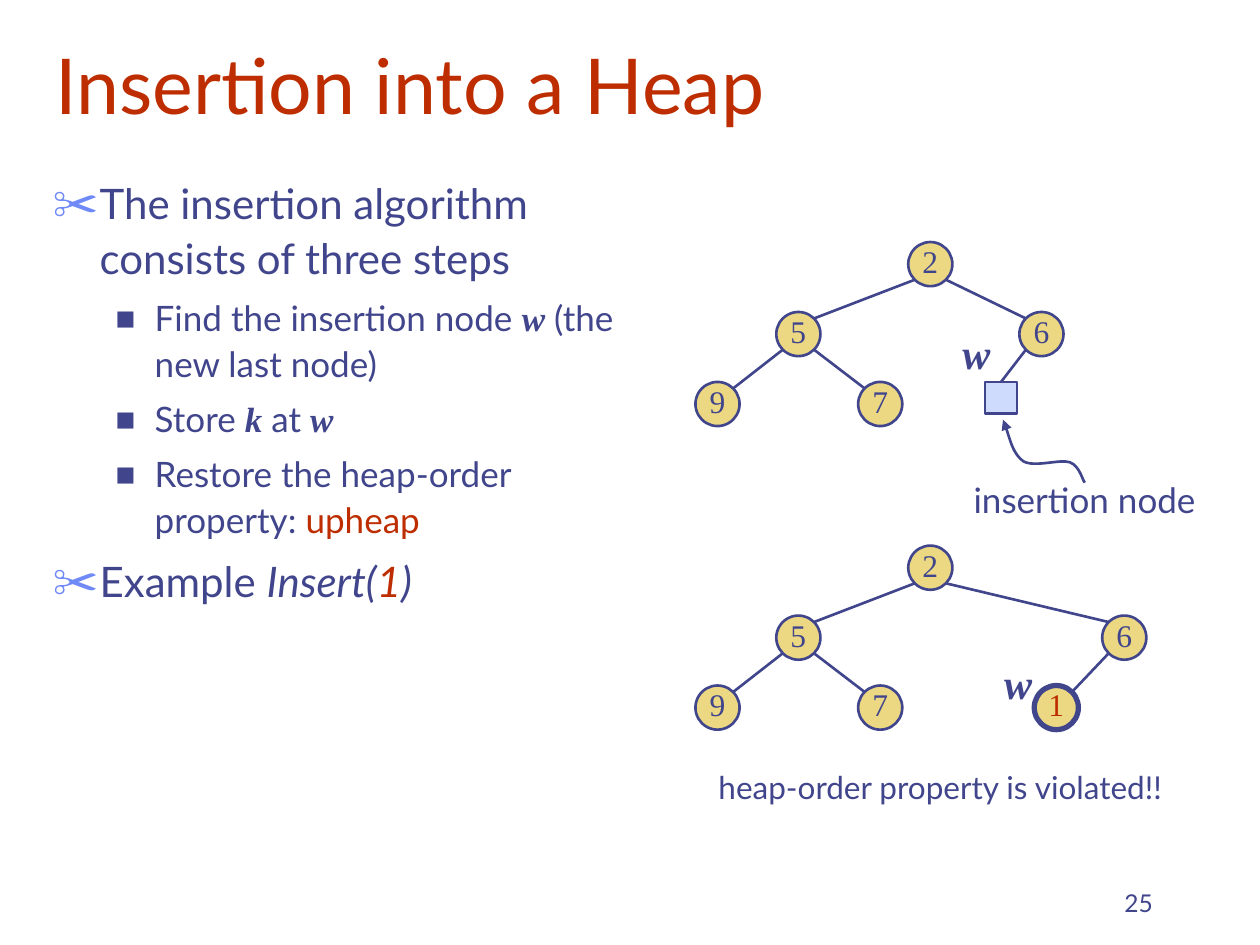
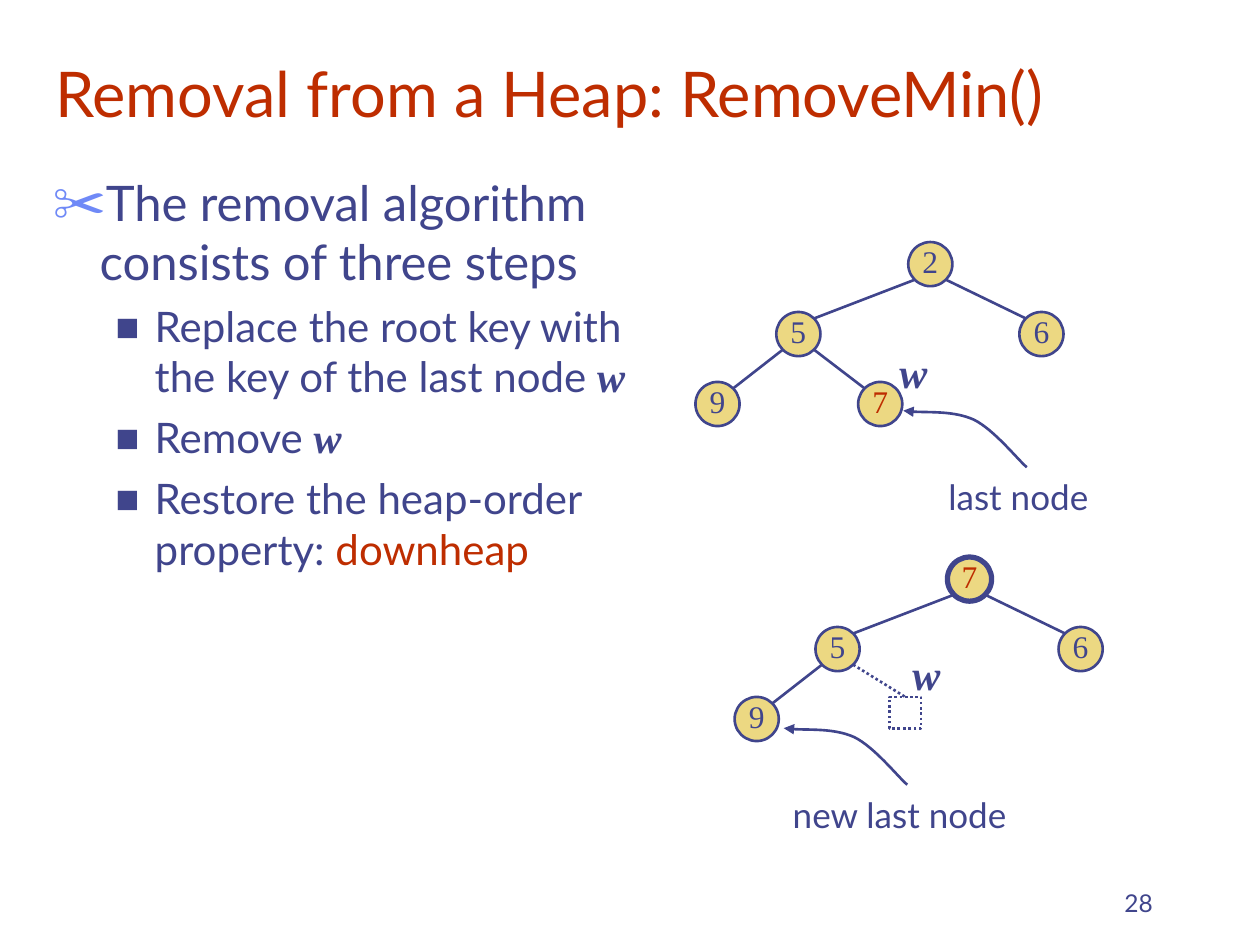
import dataclasses

import pptx
import pptx.dml.color
import pptx.enum.dml
import pptx.enum.shapes
import pptx.enum.text
import pptx.oxml.ns
import pptx.util
from lxml import etree

Cm, Pt, qn = pptx.util.Cm, pptx.util.Pt, pptx.oxml.ns.qn
ALIGN = pptx.enum.text.PP_ALIGN
ANCHOR = pptx.enum.text.MSO_ANCHOR
SHAPE = pptx.enum.shapes.MSO_SHAPE

COLORS = {
    "ink": "40458C", "accent": "BE2D00", "bullet": "6F89F7",
    "node": "ECD882", "slot": "CFDBFD", "paper": "FFFFFF",
}
SANS, SERIF = "Lato", "Times New Roman"

# Text styles: font, colour, bold, italic
STYLES = {
    "plain": (SANS, "ink", False, False),
    "alert": (SANS, "accent", False, False),
    "call": (SANS, "ink", False, True),
    "argument": (SANS, "accent", False, True),
    "variable": (SERIF, "ink", True, True),
    "key": (SERIF, "ink", False, False),
    "changed key": (SERIF, "accent", False, False),
}

# Heap measures in cm
NODE, SLOT, LEVEL = 0.89, 0.64, 1.41
DIAGONAL = NODE / 2 * 0.5 ** 0.5


@dataclasses.dataclass
class Box:
    left: float
    top: float
    width: float = 0
    height: float = 0

    def inside(self, left, top, width=0, height=0):
        return Box(self.left + left, self.top + top, width, height)

    def lengths(self):
        return [Cm(v) for v in (self.left, self.top, self.width, self.height)]


@dataclasses.dataclass
class Node:
    key: str
    left: float
    level: int
    parent: int = -1          # index in the list of nodes
    changed: bool = False     # key in the accent colour
    thick: bool = False
    slot: str = ""            # fill of a square place without a key
    dotted: bool = False

    def centre(self, box):
        size = SLOT if self.slot else NODE
        return (box.left + self.left + size / 2,
                box.top + self.level * LEVEL + size / 2)


TITLE_BOX = Box(0.86, -0.43, 21.59, 3.18)
BODY_BOX = Box(0.81, 3.35, 12.12, 13.39)
NUMBER_BOX = Box(18.21, 17.35, 5.28, 1.27)

# Curves in hundredths of a cm: a start, then three points for each arc
WAVE = [(165, 127), (160, 122), (155, 94), (135, 86), (114, 79),
        (64, 97), (41, 84), (20, 69), (8, 18), (0, 0)]
SWEEP = [(249, 114), (231, 99), (183, 38), (142, 18), (102, 0), (28, 5), (0, 0)]


def rgb(name):
    return pptx.dml.color.RGBColor.from_string(COLORS[name])


def format_span(span, style, size):
    font = span.font
    font.name, color, font.bold, font.italic = STYLES[style]
    font.size = Pt(size)
    font.color.rgb = rgb(color)


def fill_para(para, parts, size):
    """Write (text, style) parts as the runs of one paragraph."""
    for text, style in parts:
        span = para.add_run()
        span.text = text
        format_span(span, style, size)


def style_line(line, width=1.5, dotted=False):
    line.color.rgb = rgb("ink")
    line.width = Pt(width)
    if dotted:
        line.dash_style = pptx.enum.dml.MSO_LINE.ROUND_DOT


def add_label(page, box, text, size, style="plain", align=ALIGN.CENTER, wrap=False):
    label = page.shapes.add_textbox(*box.lengths())
    frame = label.text_frame
    frame.word_wrap = wrap
    para = frame.paragraphs[0]
    para.alignment = align
    fill_para(para, [(text, style)], size)
    return label


# Title, body and page number

def add_title(page, box, text, size):
    title = page.shapes.title
    title.left, title.top, title.width, title.height = box.lengths()
    frame = title.text_frame
    frame.text = text
    frame.auto_size = pptx.enum.text.MSO_AUTO_SIZE.NONE
    frame.vertical_anchor = ANCHOR.BOTTOM
    para = frame.paragraphs[0]
    para.alignment = ALIGN.LEFT
    format_span(para.runs[0], "alert", size)


def add_bullet(para, char, color, percent, margin, hanging):
    props = para._p.get_or_add_pPr()
    props.set("marL", str(Cm(margin)))
    props.set("indent", str(-Cm(hanging)))
    tint = etree.SubElement(props, qn("a:buClr"))
    etree.SubElement(tint, qn("a:srgbClr"), val=COLORS[color])
    etree.SubElement(props, qn("a:buSzPct"), val=str(percent * 1000))
    etree.SubElement(props, qn("a:buFont"), typeface=SANS)
    etree.SubElement(props, qn("a:buChar"), char=char)


def add_body(page, box, items, sizes, line_spacing):
    frame = page.shapes.add_textbox(*box.lengths()).text_frame
    frame.word_wrap = True
    for index, (level, parts) in enumerate(items):
        para = frame.add_paragraph() if index else frame.paragraphs[0]
        para.level = level
        para.line_spacing = line_spacing
        para.space_before = Pt(sizes[level] / 4)
        if level:
            add_bullet(para, "■", "ink", 60, 2.06, 0.79)
        else:
            add_bullet(para, "✂", "bullet", 110, 0.95, 0.95)
        fill_para(para, parts, sizes[level])


def add_page_number(page, box, number):
    label = add_label(page, box, number, 14, align=ALIGN.RIGHT, wrap=True)
    label.text_frame.vertical_anchor = ANCHOR.BOTTOM


# Heap diagram

def add_node(page, box, node):
    size = SLOT if node.slot else NODE
    place = box.inside(node.left, node.level * LEVEL, size, size)
    kind = SHAPE.RECTANGLE if node.slot else SHAPE.OVAL
    shape = page.shapes.add_shape(kind, *place.lengths())
    shape.shadow.inherit = False
    shape.fill.solid()
    shape.fill.fore_color.rgb = rgb(node.slot or "node")
    style_line(shape.line, 3 if node.thick else 1.5, node.dotted)
    if node.key:
        frame = shape.text_frame
        frame.word_wrap = False
        frame.vertical_anchor = ANCHOR.MIDDLE
        frame.margin_left = frame.margin_right = frame.margin_top = 0
        frame.margin_bottom = Cm(0.13)
        frame.text = node.key
        para = frame.paragraphs[0]
        para.alignment = ALIGN.CENTER
        format_span(para.runs[0], "changed key" if node.changed else "key", 18)


def add_edge(page, box, parent, child):
    """Join the lower diagonal of a parent to the facing top of its child."""
    start_x, start_y = parent.centre(box)
    end_x, end_y = child.centre(box)
    side = 1 if end_x > start_x else -1
    start_x, start_y = start_x + side * DIAGONAL, start_y + DIAGONAL
    if child.slot:
        end_y -= SLOT / 2
    else:
        end_x, end_y = end_x - side * DIAGONAL, end_y - DIAGONAL
    edge = page.shapes.add_connector(
        pptx.enum.shapes.MSO_CONNECTOR.STRAIGHT,
        Cm(start_x), Cm(start_y), Cm(end_x), Cm(end_y))
    style_line(edge.line, dotted=child.dotted)
    etree.SubElement(edge._element.spPr, qn("a:effectLst"))


def add_heap(page, box, nodes, w_at):
    for node in nodes:
        add_node(page, box, node)
    for node in nodes:
        if node.parent >= 0:
            add_edge(page, box, nodes[node.parent], node)
    add_label(page, box.inside(*w_at, 1.07, 1.27), "w", 24, "variable")


def add_curved_arrow(page, box, points):
    builder = page.shapes.build_freeform(*points[0], scale=Cm(1) / 100)
    builder.add_line_segments(points[1:], close=False)
    arrow = builder.convert_to_shape(Cm(box.left), Cm(box.top))
    arrow.shadow.inherit = False
    arrow.fill.background()
    style_line(arrow.line)
    etree.SubElement(arrow.line._get_or_add_ln(), qn("a:tailEnd"), type="triangle")
    # Merge each three straight segments into one Bezier arc
    segments = list(arrow._element.iter(qn("a:lnTo")))
    for first in range(0, len(segments), 3):
        arc = etree.Element(qn("a:cubicBezTo"))
        segments[first].addprevious(arc)
        for segment in segments[first:first + 3]:
            arc.append(segment[0])
            segment.getparent().remove(segment)


def add_callout(page, box, arrow_at, points, caption_at, width, caption):
    add_curved_arrow(page, box.inside(*arrow_at), points)
    add_label(page, box.inside(*caption_at, width, 1.12), caption, 20)


def heap_nodes(root="2", right_left=6.53, root_changed=False):
    """The three nodes and left leaf that every heap has."""
    return [
        Node(root, 4.29, 0, changed=root_changed, thick=root_changed),
        Node("5", 1.63, 1, parent=0),
        Node("6", right_left, 1, parent=0),
        Node("9", 0, 2, parent=1),
    ]


# Slides

def add_page(deck, title, title_size, items, sizes, line_spacing, number):
    page = deck.slides.add_slide(deck.slide_layouts[5])
    add_title(page, TITLE_BOX, title, title_size)
    add_body(page, BODY_BOX, items, sizes, line_spacing)
    add_page_number(page, NUMBER_BOX, number)
    return page


def add_insertion_page(deck):
    items = [
        (0, [("The insertion algorithm consists of three steps", "plain")]),
        (1, [("Find the insertion node ", "plain"), ("w", "variable"),
             (" (the new last node)", "plain")]),
        (1, [("Store ", "plain"), ("k", "variable"), (" at ", "plain"),
             ("w", "variable")]),
        (1, [("Restore the heap-order property: ", "plain"), ("upheap", "alert")]),
        (0, [("Example ", "plain"), ("Insert(", "call"), ("1", "argument"),
             (")", "call")]),
    ]
    page = add_page(deck, "Insertion into a Heap", 44, items, (24, 20), 1.1, "25")

    # Heap with the free place
    box = Box(14.02, 4.88)
    seven = Node("7", 3.28, 2, parent=1)
    place = Node("", 5.84, 2, parent=2, slot="slot")
    add_heap(page, box, heap_nodes() + [seven, place], (5.13, 1.6))
    add_callout(page, box, (6.2, 3.58), WAVE, (5.18, 4.65), 5.33, "insertion node")

    # Heap with the new key
    box = Box(14.02, 11)
    one = Node("1", 6.83, 2, parent=2, changed=True, thick=True)
    add_heap(page, box, heap_nodes(right_left=8.2) + [seven, one], (5.97, 2.13))
    warning = add_label(page, box.inside(-0.13, 4.44, 10.13, 0.94),
                        "heap-order property is violated!!", 18)
    para = warning.text_frame.paragraphs[0]
    para.line_spacing = 0.9
    para.space_before = Pt(4.5)


def add_removal_page(deck):
    items = [
        (0, [("The removal algorithm consists of three steps", "plain")]),
        (1, [("Replace the root key with the key of the last node ", "plain"),
             ("w", "variable")]),
        (1, [("Remove ", "plain"), ("w", "variable")]),
        (1, [("Restore the heap-order property: ", "plain"), ("downheap", "alert")]),
    ]
    page = add_page(deck, "Removal from a Heap: RemoveMin()", 36, items,
                    (28, 24), 1.0, "28")

    # Heap before the removal
    box = Box(14.02, 4.88)
    last = Node("7", 3.28, 2, parent=1, changed=True)
    add_heap(page, box, heap_nodes() + [last], (3.86, 1.98))
    add_callout(page, box, (4.19, 3.4), SWEEP, (4.73, 4.59), 3.56, "last node")

    # Heap with the last key at its root
    box = Box(14.81, 11.23)
    removed = Node("", 3.12, 2, parent=1, slot="paper", dotted=True)
    add_heap(page, box, heap_nodes("7", root_changed=True) + [removed], (3.33, 1.72))
    add_callout(page, box, (0.99, 3.45), SWEEP, (0.76, 4.65), 5.13, "new last node")


def main():
    deck = pptx.Presentation()
    deck.slide_width, deck.slide_height = Cm(25.4), Cm(19.05)
    add_insertion_page(deck)
    add_removal_page(deck)
    deck.save("out.pptx")


if __name__ == "__main__":
    main()
